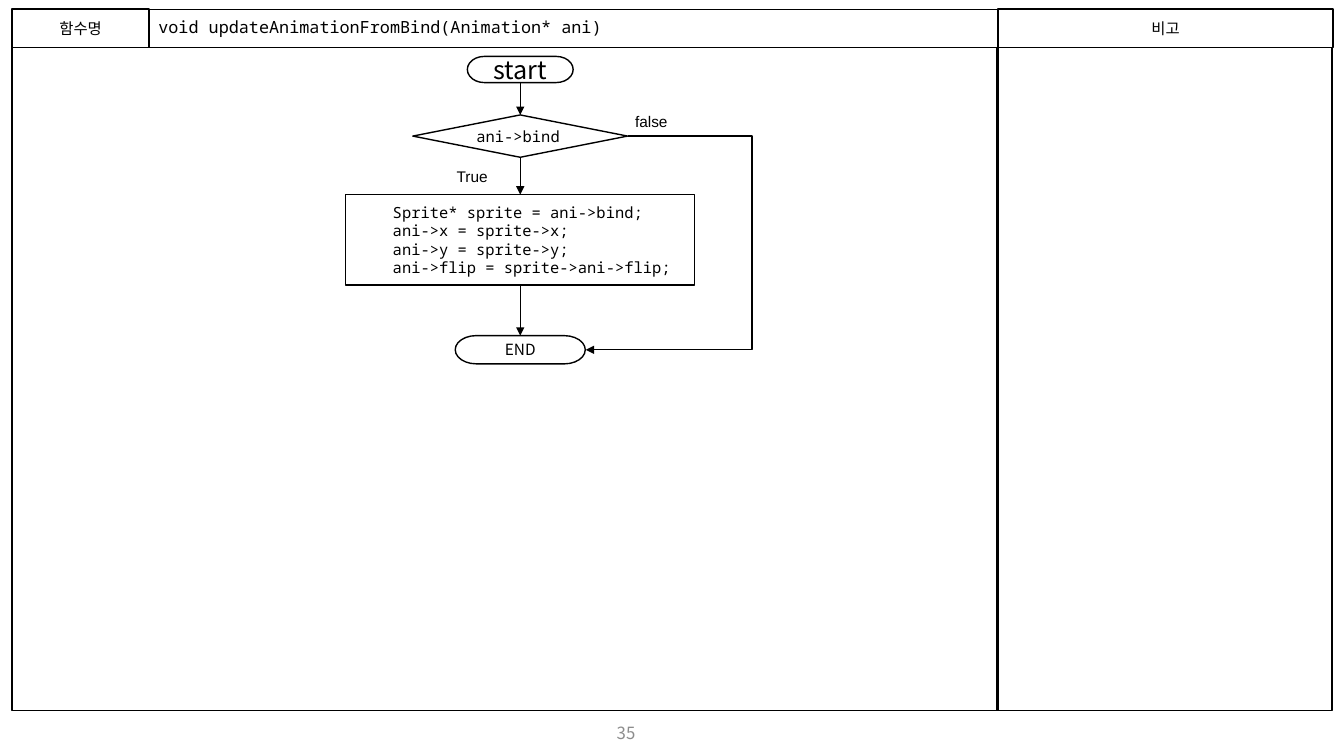
from lxml import etree
from pptx import Presentation
from pptx.dml.color import RGBColor
from pptx.enum.shapes import MSO_CONNECTOR, MSO_SHAPE
from pptx.enum.text import MSO_ANCHOR, MSO_AUTO_SIZE, PP_ALIGN
from pptx.oxml.ns import qn
from pptx.util import Inches, Pt

LEFT, CENTER = PP_ALIGN.LEFT, PP_ALIGN.CENTER
TOP, MIDDLE = MSO_ANCHOR.TOP, MSO_ANCHOR.MIDDLE
NO_FIT = MSO_AUTO_SIZE.NONE
STRAIGHT, ELBOW = MSO_CONNECTOR.STRAIGHT, MSO_CONNECTOR.ELBOW
RECTANGLE = MSO_SHAPE.RECTANGLE
TERMINATOR = MSO_SHAPE.FLOWCHART_TERMINATOR
DECISION = MSO_SHAPE.FLOWCHART_DECISION
TOP_SIDE, BOTTOM_SIDE = 0, 2

COLORS = {"ink": "000000", "paper": "FFFFFF", "page": "8C8C8C"}
SANS, MONO, LABEL = "Noto Sans CJK KR", "Noto Sans Mono", "Arial"


class FlowSlide:
    def __init__(self, deck):
        self.slide = deck.slides.add_slide(deck.slide_layouts[5])

    def color(self, name):
        return RGBColor.from_string(COLORS[name])

    def outline(self, line, width=1):
        line.color.rgb = self.color("ink")
        line.width = Pt(width)

    def put_text(self, shape, text, font, size, align=CENTER, anchor=MIDDLE,
                 color="ink", spacing=None):
        frame = shape.text_frame
        frame.text = text
        frame.word_wrap = True
        frame.auto_size = NO_FIT
        frame.vertical_anchor = anchor
        for paragraph in frame.paragraphs:
            paragraph.alignment = align
            paragraph.line_spacing = spacing
            paragraph.font.name = font
            paragraph.font.size = Pt(size)
            paragraph.font.color.rgb = self.color(color)
            defaults = paragraph._p.pPr.find(qn("a:defRPr"))
            etree.SubElement(defaults, qn("a:ea")).set("typeface", font)

    def title(self, text, *box):
        heading = self.slide.shapes.title
        heading.left, heading.top, heading.width, heading.height = map(Inches, box)
        self.outline(heading.line, 0.75)
        self.put_text(heading, text, MONO, 12, LEFT, spacing=0.9)

    def frame(self, left, top, width, height, text="", kind=RECTANGLE, filled=False,
              font=SANS, size=11, align=CENTER):
        shape = self.slide.shapes.add_shape(kind, *map(Inches, (left, top, width, height)))
        shape.shadow.inherit = False
        if filled:
            shape.fill.solid()
            shape.fill.fore_color.rgb = self.color("paper")
        else:
            shape.fill.background()
        self.outline(shape.line)
        if text:
            self.put_text(shape, text, font, size, align)
        return shape

    def step(self, axis, top, width, height, text, kind, **style):
        return self.frame(axis - width / 2, top, width, height, text, kind, True, **style)

    def label(self, left, top, width, height, text, font=LABEL, size=11, align=LEFT,
              anchor=TOP, color="ink"):
        box = self.slide.shapes.add_textbox(*map(Inches, (left, top, width, height)))
        self.put_text(box, text, font, size, align, anchor, color)

    def arrow(self, kind, *ends):
        connector = self.slide.shapes.add_connector(kind, *map(Inches, ends))
        self.outline(connector.line)
        properties = connector._element.spPr
        line = properties.find(qn("a:ln"))
        etree.SubElement(line, qn("a:tailEnd")).set("type", "triangle")
        etree.SubElement(properties, qn("a:effectLst"))
        return connector

    def flow(self, source, target):
        connector = self.arrow(STRAIGHT, 0, 0, 0, 0)
        connector.begin_connect(source, BOTTOM_SIDE)
        connector.end_connect(target, TOP_SIDE)

    def bypass(self, bend, *ends):
        start_x, _, end_x, _ = ends
        geometry = self.arrow(ELBOW, *ends)._element.spPr.find(qn("a:prstGeom"))
        guides = geometry.find(qn("a:avLst"))
        if guides is None:
            guides = etree.SubElement(geometry, qn("a:avLst"))
        guide = etree.SubElement(guides, qn("a:gd"))
        guide.set("name", "adj1")
        guide.set("fmla", f"val {round((bend - start_x) / (end_x - start_x) * 100000)}")


def main():
    deck = Presentation()
    deck.slide_width, deck.slide_height = Inches(13.33), Inches(7.5)
    page = FlowSlide(deck)

    page.title("void updateAnimationFromBind(Animation* ani)", 1.47, 0.09, 8.42, 0.38)
    page.frame(0.12, 0.09, 1.36, 0.38, "함수명")
    page.frame(9.9, 0.09, 3.32, 0.38, "비고")
    page.frame(0.12, 0.47, 9.78, 6.58)
    page.frame(9.89, 0.47, 3.32, 6.58)
    page.label(4.71, 7.13, 3, 0.28, "35", SANS, 12, CENTER, MIDDLE, "page")

    axis = 5.16
    update_code = "\n".join([
        "    Sprite* sprite = ani->bind;",
        "    ani->x = sprite->x;",
        "    ani->y = sprite->y;",
        "    ani->flip = sprite->ani->flip;",
    ])
    start = page.step(axis, 0.56, 1.05, 0.26, "start", TERMINATOR, size=18)
    bound = page.step(axis, 1.14, 2.13, 0.42, "ani->bind", DECISION, font=MONO, align=LEFT)
    update = page.step(axis, 1.93, 3.46, 0.9, update_code, RECTANGLE, font=MONO, align=LEFT)
    end = page.step(axis, 3.33, 1.29, 0.28, "END", TERMINATOR)

    steps = [start, bound, update, end]
    for source, target in zip(steps, steps[1:]):
        page.flow(source, target)
    page.bypass(7.46, 6.23, 1.35, 5.81, 3.47)

    page.label(4.43, 1.61, 0.83, 0.29, "True")
    page.label(6.2, 1.06, 0.83, 0.29, "false")
    deck.save("out.pptx")


if __name__ == "__main__":
    main()
